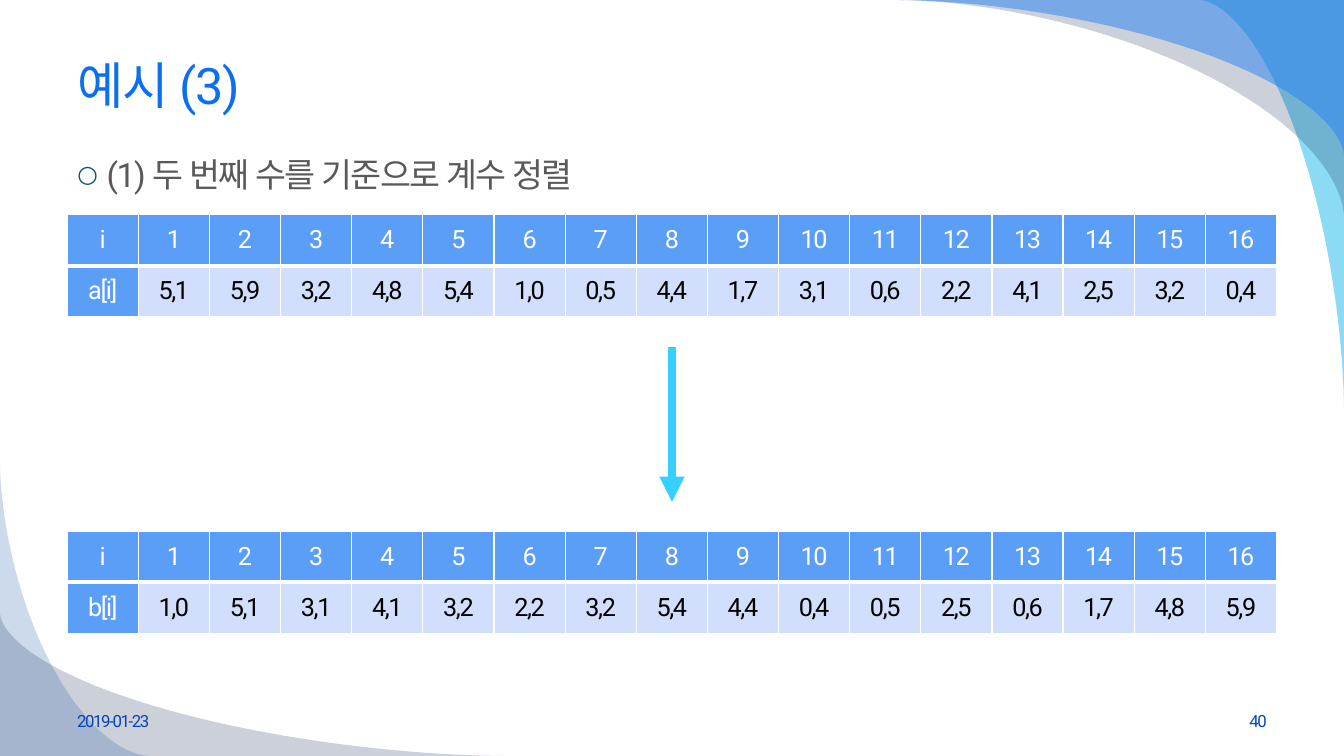
from dataclasses import dataclass
from math import cos, pi, sin

from pptx import Presentation
from pptx.dml.color import RGBColor
from pptx.enum.shapes import MSO_CONNECTOR as Connector
from pptx.enum.text import MSO_ANCHOR as Anchor, MSO_AUTO_SIZE as AutoSize, PP_ALIGN as Align
from pptx.oxml import parse_xml
from pptx.oxml.ns import nsdecls
from pptx.slide import Slide
from pptx.util import Emu, Inches, Pt

WIDTH, HEIGHT = Inches(13.33), Inches(7.5)
FONT = "Roboto"
COLORS = {
    "title": "0C6FF2", "body": "595959", "bullet": "005876", "footer": "0743BC",
    "header": "5B9EF7", "cell": "D2DFFC", "white": "FFFFFF", "black": "000000",
    "arrow": "37CFFF", "cyan": "00B1E9", "navy": "021741", "blue": "247FF4", "deep": "084AA1",
}
CURVE_EXPONENT = 1.75
CURVE_STEPS = 40


def across(columns: float) -> Emu:
    """Length in columns, 20 to the slide's width."""
    return Emu(round(WIDTH * columns / 20))


def down(rows: float) -> Emu:
    """Length in rows, 100 to the slide's height."""
    return Emu(round(HEIGHT * rows / 100))


@dataclass
class Swoosh:
    """Corner shape; signed reach along both slide edges, in columns and rows."""
    corner: tuple[float, float]
    reach: tuple[float, float]
    color: str
    opacity: int


@dataclass
class Label:
    text: str
    color: str
    size: float
    align: Align = Align.LEFT


@dataclass
class ArrayTable:
    name: str
    top: float
    values: list[str]


TOP_RIGHT, BOTTOM_LEFT = (20, 0), (0, 100)
SWOOSHES = [
    Swoosh(TOP_RIGHT, (-2.16, 54.4), "cyan", 45),
    Swoosh(TOP_RIGHT, (-6.66, 28.67), "navy", 20),
    Swoosh(TOP_RIGHT, (-6.66, 20.67), "blue", 49),
    Swoosh(BOTTOM_LEFT, (7.5, -18.93), "navy", 20),
    Swoosh(BOTTOM_LEFT, (2.22, -38.93), "deep", 20),
]
TABLES = [
    ArrayTable("b[i]", 70.27, "1,0 5,1 3,1 4,1 3,2 2,2 3,2 5,4 4,4 0,4 0,5 2,5 0,6 1,7 4,8 5,9".split()),
    ArrayTable("a[i]", 28.4, "5,1 5,9 3,2 4,8 5,4 1,0 0,5 4,4 1,7 3,1 0,6 2,2 4,1 2,5 3,2 0,4".split()),
]


def rgb(name: str) -> RGBColor:
    return RGBColor.from_string(COLORS[name])


def write(frame, label: Label) -> None:
    para = frame.paragraphs[0]
    para.alignment = label.align
    para.space_before = Pt(0)
    span = para.add_run()
    span.text = label.text
    for name, value in {"name": FONT, "size": Pt(label.size), "bold": False}.items():
        setattr(span.font, name, value)
    span.font.color.rgb = rgb(label.color)
    properties = span._r.get_or_add_rPr()
    properties.set("spc", "-100")
    properties.append(parse_xml(f'<a:ea {nsdecls("a")} typeface="{FONT}"/>'))


def place(box, left: float, top: float, width: float, height: float) -> None:
    box.left, box.top, box.width, box.height = across(left), down(top), across(width), down(height)


def draw_swoosh(page: Slide, swoosh: Swoosh, layer: int) -> None:
    (corner_x, corner_y), (reach_x, reach_y) = swoosh.corner, swoosh.reach
    power = 2 / CURVE_EXPONENT
    angles = [pi / 2 * step / CURVE_STEPS for step in range(CURVE_STEPS + 1)]
    curve = [(across(corner_x + reach_x * (1 - sin(angle) ** power)),
              down(corner_y + reach_y * (1 - max(cos(angle), 0) ** power))) for angle in angles]
    builder = page.shapes.build_freeform(across(corner_x), down(corner_y))
    builder.add_line_segments(curve, close=True)
    shape = builder.convert_to_shape()
    shape.shadow.inherit = False
    shape.line.fill.background()
    shape.fill.solid()
    shape.fill.fore_color.rgb = rgb(swoosh.color)
    tint = shape._element.spPr.find(".//{*}srgbClr")
    tint.append(parse_xml(f'<a:alpha {nsdecls("a")} val="{swoosh.opacity * 1000}"/>'))
    page.shapes._spTree.insert(2 + layer, shape._element)  # behind the placeholders


def fill_placeholders(page: Slide) -> None:
    title, body = page.shapes.title, page.placeholders[1]
    place(title, 1, 4.4, 18, 13.5)
    place(body, 1, 19.7, 18, 69.6)
    for box, anchor in ((title, Anchor.MIDDLE), (body, Anchor.TOP)):
        for name, value in {"word_wrap": True, "auto_size": AutoSize.NONE, "vertical_anchor": anchor}.items():
            setattr(box.text_frame, name, value)
    properties = body.text_frame.paragraphs[0]._p.get_or_add_pPr()
    indent = Inches(0.29)
    properties.set("marL", str(indent))
    properties.set("indent", str(-indent))
    for bullet in (f'<a:buClr {nsdecls("a")}><a:srgbClr val="{COLORS["bullet"]}"/></a:buClr>',
                   f'<a:buSzPct {nsdecls("a")} val="70000"/>',
                   f'<a:buFont {nsdecls("a")} typeface="{FONT}"/>',
                   f'<a:buChar {nsdecls("a")} char="○"/>'):
        properties.append(parse_xml(bullet))
    write(title.text_frame, Label("예시 (3)", "title", 36))
    write(body.text_frame, Label("(1) 두 번째 수를 기준으로 계수 정렬", "body", 24))


def add_footer(page: Slide, left: float, label: Label) -> None:
    box = page.shapes.add_textbox(across(left), down(92.67), across(4.67), down(5.33))
    box.text_frame.word_wrap = True
    box.text_frame.vertical_anchor = Anchor.MIDDLE
    write(box.text_frame, label)


def add_borders(cell, widths: dict[str, float]) -> None:
    for side, width in widths.items():
        cell._tc.get_or_add_tcPr().append(parse_xml(
            f'<a:ln{side} {nsdecls("a")} w="{Pt(width)}"><a:solidFill>'
            f'<a:srgbClr val="{COLORS["white"]}"/></a:solidFill></a:ln{side}>'))


def add_array(page: Slide, array: ArrayTable) -> None:
    rows = [["i", *map(str, range(1, len(array.values) + 1))], [array.name, *array.values]]
    count = len(rows[0])
    table = page.shapes.add_table(
        len(rows), count, across(1), down(array.top), across(18), down(13.5)).table
    table.horz_banding = False
    for column in table.columns:
        column.width = across(18 / count)
    for row_index, row in enumerate(rows):
        for column_index, text in enumerate(row):
            cell = table.cell(row_index, column_index)
            heading = row_index == 0 or column_index == 0
            add_borders(cell, {"L": 1, "R": 1, "T": 3 if row_index else 1, "B": 1 if row_index else 3})
            cell.fill.solid()
            cell.fill.fore_color.rgb = rgb("header" if heading else "cell")
            cell.vertical_anchor = Anchor.MIDDLE
            write(cell.text_frame, Label(text, "white" if heading else "black", 18, Align.CENTER))


def add_arrow(page: Slide) -> None:
    arrow = page.shapes.add_connector(Connector.STRAIGHT, across(10), down(45.9), across(10), down(66.4))
    arrow.line.color.rgb = rgb("arrow")
    arrow.line.width = Pt(6)
    arrow.line._get_or_add_ln().append(parse_xml(f'<a:tailEnd {nsdecls("a")} type="triangle"/>'))
    arrow._element.spPr.append(parse_xml(f'<a:effectLst {nsdecls("a")}/>'))


def main() -> None:
    deck = Presentation()
    deck.slide_width, deck.slide_height = WIDTH, HEIGHT
    page = deck.slides.add_slide(deck.slide_layouts[1])
    for layer, swoosh in enumerate(SWOOSHES):
        draw_swoosh(page, swoosh, layer)
    fill_placeholders(page)
    add_footer(page, 1, Label("2019-01-23", "footer", 12))
    add_footer(page, 14.33, Label("40", "footer", 12, Align.RIGHT))
    for array in TABLES:
        add_array(page, array)
    add_arrow(page)
    deck.save("out.pptx")


if __name__ == "__main__":
    main()
